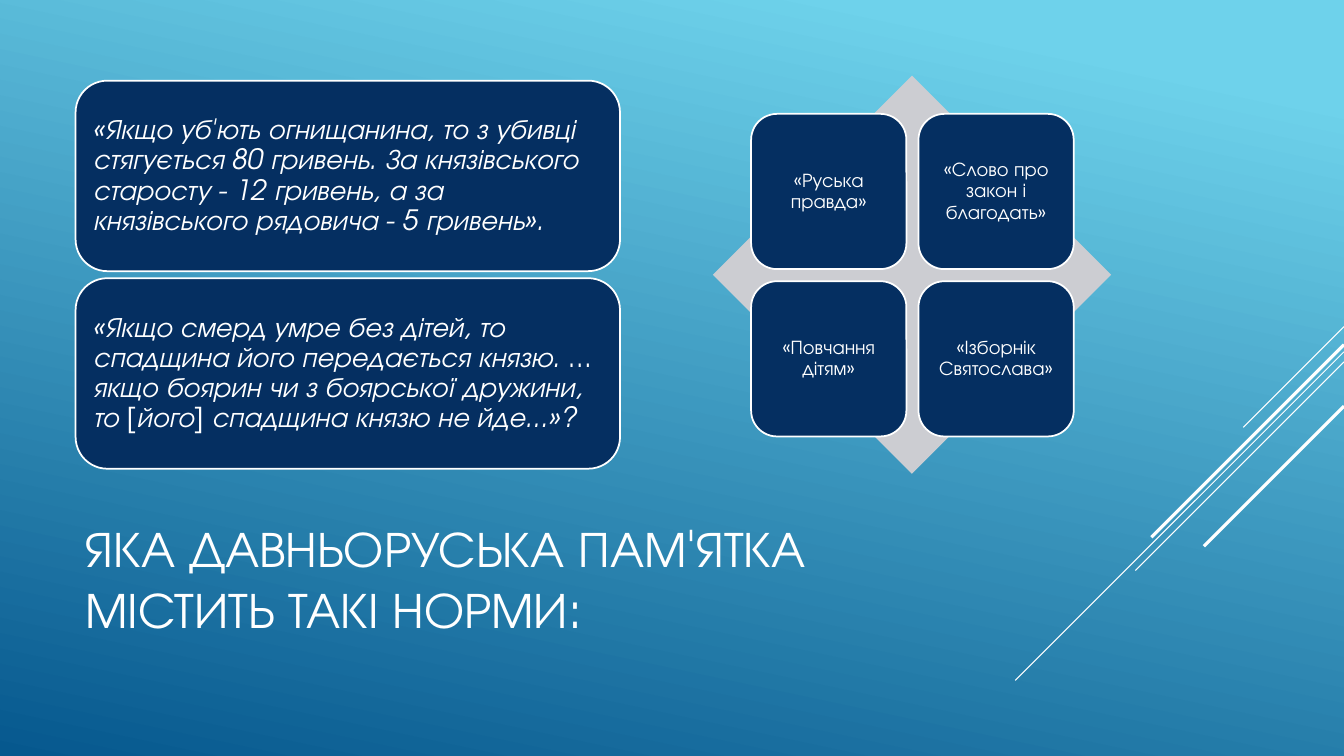
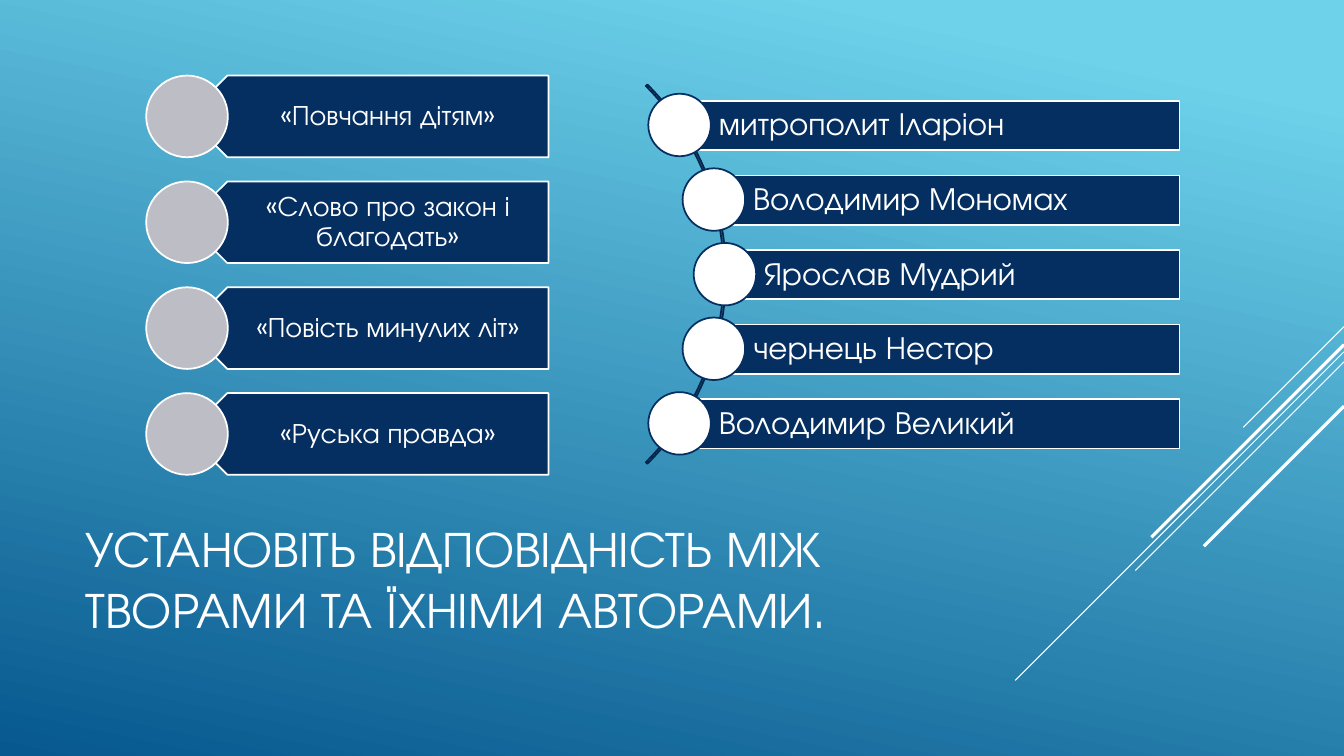
from dataclasses import dataclass
from math import sqrt

from lxml import etree
from pptx import Presentation
from pptx.dml.color import RGBColor
from pptx.enum.shapes import MSO_CONNECTOR, MSO_SHAPE
from pptx.enum.text import MSO_ANCHOR, MSO_AUTO_SIZE, PP_ALIGN
from pptx.oxml.ns import qn
from pptx.util import Emu, Pt

ROUND, DIAMOND, PLATE = MSO_SHAPE.ROUNDED_RECTANGLE, MSO_SHAPE.DIAMOND, MSO_SHAPE.PENTAGON
RECT, OVAL, ARC = MSO_SHAPE.RECTANGLE, MSO_SHAPE.OVAL, MSO_SHAPE.BLOCK_ARC
STRAIGHT = MSO_CONNECTOR.STRAIGHT
LEFT, CENTER, MIDDLE = PP_ALIGN.LEFT, PP_ALIGN.CENTER, MSO_ANCHOR.MIDDLE
NO_FIT = MSO_AUTO_SIZE.NONE

EMU_PER_PX = 9144
SLIDE_W, SLIDE_H = 1333, 750
TITLE_ONLY = 5


@dataclass(frozen=True)
class Theme:
    font: str = "TeX Gyre Adventor"
    white: str = "FFFFFF"
    navy: str = "052F61"
    arc: str = "04264E"
    diamond: str = "CCCDD2"
    disc: str = "BDBEC5"
    sky: str = "6ED2EB"
    sea: str = "06588E"
    title: int = 36
    author: int = 23
    body: int = 20
    tile: int = 14
    outline: float = 1.25


T = Theme()

# Diagonal strokes: start y on the right edge, length along each axis, weight in points
STROKES = [(324, 100, 0.75), (349, 326, 0.75), (359, 207, 0.75),
           (342, 191, 2.25), (403, 139, 2.25)]

NORMS = [
    "«Якщо уб'ють огнищанина, то з убивці стягується 80 гривень. За князівського "
    "старосту - 12 гривень, а за князівського рядовича - 5 гривень».",
    "«Якщо смерд умре без дітей, то спадщина його передається князю. …якщо боярин "
    "чи з боярської дружини, то [його] спадщина князю не йде...»?",
]
SOURCES = ["«Руська правда»", "«Слово про закон і благодать»",
           "«Повчання дітям»", "«Ізборнік Святослава»"]
WORKS = ["«Повчання дітям»", "«Слово про закон і благодать»",
         "«Повість минулих літ»", "«Руська правда»"]
AUTHORS = ["митрополит Іларіон", "Володимир Мономах", "Ярослав Мудрий",
           "чернець Нестор", "Володимир Великий"]


def px(n):
    return Emu(n * EMU_PER_PX)


def rgb(color):
    return RGBColor.from_string(color)


def set_font(p, size, italic=False):
    p.font.name = T.font
    p.font.size = Pt(size)
    p.font.italic = italic
    p.font.color.rgb = rgb(T.white)


def add_shape(s, kind, x, y, w, h, fill=None, line=None):
    sp = s.shapes.add_shape(kind, px(x), px(y), px(w), px(h))
    sp.shadow.inherit = False
    if fill:
        sp.fill.solid()
        sp.fill.fore_color.rgb = rgb(fill)
    else:
        sp.fill.background()
    if line:
        sp.line.color.rgb = rgb(line)
        sp.line.width = Pt(T.outline)
    else:
        sp.line.fill.background()
    return sp


def set_text(sp, text, size, margins, align=LEFT, italic=False):
    """Fill a shape with one paragraph; margins are left, top, right, bottom."""
    tf = sp.text_frame
    tf.word_wrap = True
    tf.vertical_anchor = MIDDLE
    tf.margin_left, tf.margin_top, tf.margin_right, tf.margin_bottom = map(px, margins)
    p = tf.paragraphs[0]
    p.text = text
    p.alignment = align
    p.line_spacing = 0.9
    set_font(p, size, italic)


def add_panel(s, kind, box, text, size, margins, **style):
    sp = add_shape(s, kind, *box, T.navy, T.white)
    set_text(sp, text, size, margins, **style)
    return sp


def paint_background(master):
    fill = master.background.fill
    fill.gradient()
    fill.gradient_angle = 258
    for stop, color, position in zip(fill.gradient_stops, (T.sky, T.sea), (0.1, 1)):
        stop.color.rgb = rgb(color)
        stop.position = position


def add_strokes(s):
    for y, length, weight in STROKES:
        line = s.shapes.add_connector(STRAIGHT, px(SLIDE_W), px(y),
                                      px(SLIDE_W - length), px(y + length))
        line.line.color.rgb = rgb(T.white)
        line.line.width = Pt(weight)
        etree.SubElement(line.element.spPr, qn("a:effectLst"))


def add_slide(prs, title):
    s = prs.slides.add_slide(prs.slide_layouts[TITLE_ONLY])
    add_strokes(s)
    sp = s.shapes.title
    sp.left, sp.top, sp.width, sp.height = map(px, (75, 491, 933, 165))
    tf = sp.text_frame
    tf.word_wrap = True
    tf.auto_size = NO_FIT
    tf.vertical_anchor = MIDDLE
    p = tf.paragraphs[0]
    p.text = title
    p.alignment = LEFT
    set_font(p, T.title)
    return s


def add_norms(s):
    for i, text in enumerate(NORMS):
        add_panel(s, ROUND, (75, 80 + 196 * i, 540, 189), text, T.body, [8] * 4, italic=True)


def add_source_matrix(s):
    add_shape(s, DIAMOND, 707, 75, 395, 395, T.diamond)
    size, step = 154, 166
    for i, text in enumerate(SOURCES):
        row, col = divmod(i, 2)
        add_panel(s, ROUND, (745 + step * col, 113 + step * row, size, size),
                  text, T.tile, [6] * 4, align=CENTER)


def add_works(s):
    height = 81
    for i, text in enumerate(WORKS):
        y = 75 + 105 * i
        plate = add_panel(s, PLATE, (185, y, 359, height), text, T.body,
                          (36, 8, 16, 8), align=CENTER)
        plate.element.spPr.xfrm.set("flipH", "1")
        add_shape(s, OVAL, 145, y, height, height, T.disc, T.white)


def add_authors(s):
    """Bars start at discs whose centres lie on a common arc."""
    center_x, center_y, radius = 454, 272, 266
    arc = add_shape(s, ARC, center_x - radius, center_y - radius,
                    2 * radius, 2 * radius, line=T.arc)
    for i, value in enumerate((189, 27, 0.004)):
        arc.adjustments[i] = value
    right, bar_h, disc, step = 1170, 49, 62, 74
    for i, text in enumerate(AUTHORS):
        dy = step * (i - len(AUTHORS) // 2)
        x = center_x + round(sqrt((radius - 1) ** 2 - dy ** 2))
        y = center_y + dy
        add_panel(s, RECT, (x, y - bar_h // 2, right - x, bar_h), text, T.author,
                  (39, 6, 6, 6))
        add_shape(s, OVAL, x - disc // 2, y - disc // 2, disc, disc, T.white, T.navy)


def main():
    prs = Presentation()
    prs.slide_width, prs.slide_height = px(SLIDE_W), px(SLIDE_H)
    paint_background(prs.slide_master)

    s = add_slide(prs, "ЯКА ДАВНЬОРУСЬКА ПАМ'ЯТКА МІСТИТЬ ТАКІ НОРМИ:")
    add_norms(s)
    add_source_matrix(s)

    s = add_slide(prs, "УСТАНОВІТЬ ВІДПОВІДНІСТЬ МІЖ ТВОРАМИ ТА ЇХНІМИ АВТОРАМИ.")
    add_works(s)
    add_authors(s)

    prs.save("out.pptx")


if __name__ == "__main__":
    main()
